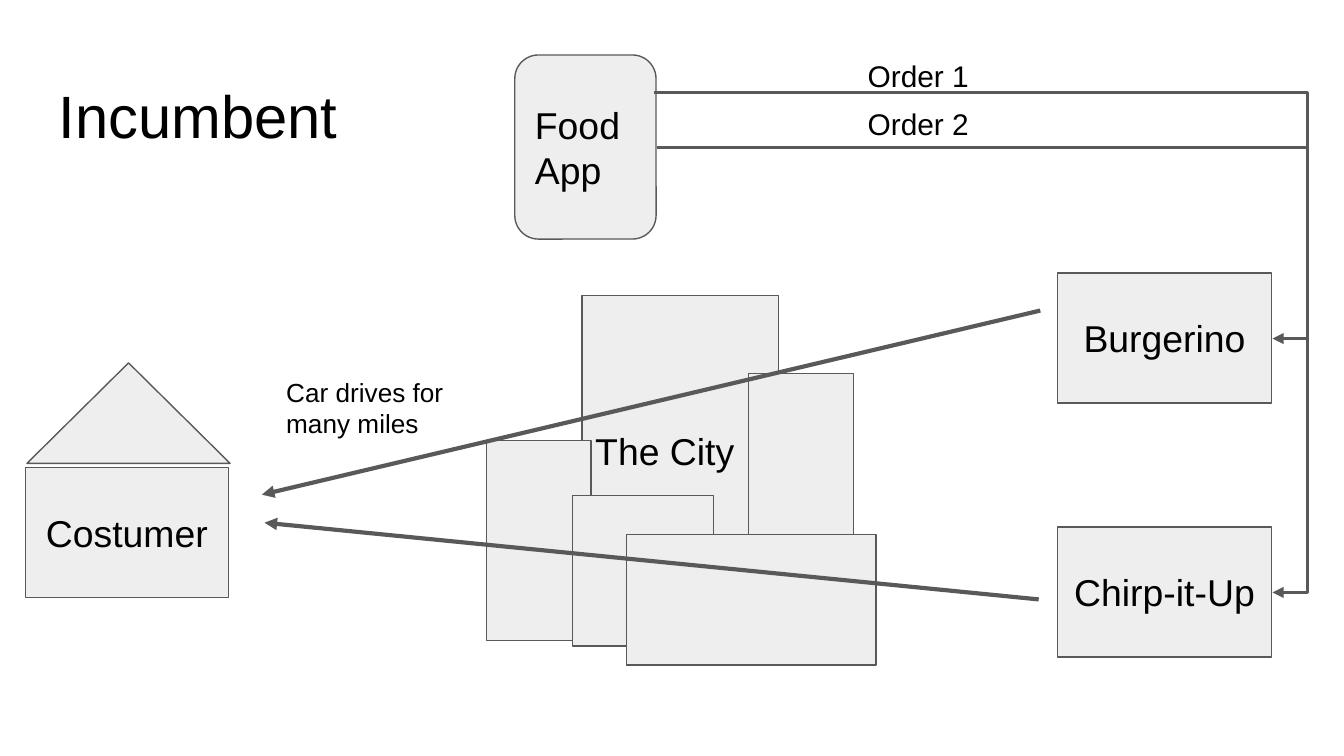
import pptx
import pptx.dml.color
import pptx.enum.shapes
import pptx.enum.text
import pptx.oxml
import pptx.oxml.ns
import pptx.util
from pptx.util import Cm

SHAPE = pptx.enum.shapes.MSO_SHAPE
CONNECTOR = pptx.enum.shapes.MSO_CONNECTOR
ALIGN = pptx.enum.text.PP_ALIGN
ANCHOR = pptx.enum.text.MSO_ANCHOR

BLACK = pptx.dml.color.RGBColor(0x00, 0x00, 0x00)
PALE_GREY = pptx.dml.color.RGBColor(0xEE, 0xEE, 0xEE)
DARK_GREY = pptx.dml.color.RGBColor(0x59, 0x59, 0x59)
FONT = "Arial"
INSET = 0.25

# All lengths are in cm; boxes are (left, top, width, height).
TITLE = ("Incumbent", (0.86, 1.24, 8.33, 1.6))

BLOCKS = [  # preset, box, label, alignment; from back to front
    (SHAPE.RECTANGLE, (0.48, 8.84, 3.84, 2.46), "Costumer", ALIGN.CENTER),
    (SHAPE.ISOSCELES_TRIANGLE, (0.51, 6.86, 3.84, 1.9), "", ALIGN.CENTER),
    (SHAPE.RECTANGLE, (19.99, 5.16, 4.04, 2.46), "Burgerino", ALIGN.CENTER),
    (SHAPE.RECTANGLE, (19.99, 9.96, 4.04, 2.46), "Chirp-it-Up", ALIGN.CENTER),
    (SHAPE.ROUNDED_RECTANGLE, (9.73, 1.04, 2.67, 3.48), "Food\vApp", ALIGN.LEFT),
    (SHAPE.RECTANGLE, (11.0, 5.59, 3.71, 5.84), "The City", ALIGN.LEFT),
    (SHAPE.RECTANGLE, (9.19, 8.33, 1.98, 3.78), "", ALIGN.LEFT),
    (SHAPE.RECTANGLE, (10.82, 9.37, 2.67, 2.84), "", ALIGN.LEFT),
    (SHAPE.RECTANGLE, (14.15, 7.06, 1.98, 5.26), "", ALIGN.LEFT),
    (SHAPE.RECTANGLE, (11.84, 10.11, 4.72, 2.46), "", ALIGN.LEFT),
]

DELIVERIES = [  # start, end
    ((19.66, 5.87), (4.95, 9.35)),
    ((19.63, 11.33), (5.0, 9.88)),
]

ORDER_TURN_X = 24.71
ORDERS = [  # start, end
    ((12.42, 2.79), (24.05, 6.4)),
    ((12.37, 1.75), (24.05, 11.2)),
]

NOTES = [  # text, box, size
    ("Order 1", (16.15, 0.84, 2.67, 0.94), 16),
    ("Order 2", (16.15, 1.75, 2.67, 0.94), 16),
    ("Car drives for many miles", (5.16, 6.86, 3.71, 1.6), 14),
]


def write(frame, text, size=20, align=ALIGN.LEFT, anchor=ANCHOR.TOP):
    frame.word_wrap = True
    frame.auto_size = pptx.enum.text.MSO_AUTO_SIZE.NONE
    frame.vertical_anchor = anchor
    frame.margin_left = frame.margin_right = Cm(INSET)
    frame.margin_top = frame.margin_bottom = Cm(INSET)
    frame.text = text
    for paragraph in frame.paragraphs:
        paragraph.alignment = align
        for run in paragraph.runs:
            run.font.name = FONT
            run.font.size = pptx.util.Pt(size)
            run.font.color.rgb = BLACK


def add_block(slide, preset, box, label, align):
    block = slide.shapes.add_shape(preset, *map(Cm, box))
    block.shadow.inherit = False
    block.fill.solid()
    block.fill.fore_color.rgb = PALE_GREY
    block.line.color.rgb = DARK_GREY
    block.line.width = pptx.util.Pt(0.75)
    if label:
        write(block.text_frame, label, align=align, anchor=ANCHOR.MIDDLE)


def add_arrow(slide, start, end, width, turn_x=None):
    """Draw a straight arrow, or an elbow one whose vertical leg is at turn_x."""
    kind = CONNECTOR.STRAIGHT if turn_x is None else CONNECTOR.ELBOW
    arrow = slide.shapes.add_connector(kind, *map(Cm, start + end))
    arrow.line.color.rgb = DARK_GREY
    arrow.line.width = pptx.util.Pt(width)
    properties = arrow._element.spPr
    head = pptx.oxml.ns.qn("a:tailEnd")
    arrow.line._get_or_add_ln().makeelement(head)
    line = arrow.line._get_or_add_ln()
    line.append(line.makeelement(head, {"type": "triangle"}))
    properties.append(properties.makeelement(pptx.oxml.ns.qn("a:effectLst")))
    if turn_x is not None:
        ratio = round((turn_x - start[0]) / (end[0] - start[0]) * 100000)
        guides = properties.find(".//" + pptx.oxml.ns.qn("a:avLst"))
        guides.append(guides.makeelement(
            pptx.oxml.ns.qn("a:gd"), {"name": "adj1", "fmla": f"val {ratio}"}))


def main():
    deck = pptx.Presentation()
    deck.slide_width, deck.slide_height = Cm(25.4), Cm(14.29)
    slide = deck.slides.add_slide(deck.slide_layouts.get_by_name("Title Only"))

    heading, box = TITLE
    title = slide.shapes.title
    title.left, title.top, title.width, title.height = map(Cm, box)
    write(title.text_frame, heading, size=32)

    for block in BLOCKS:
        add_block(slide, *block)
    for start, end in DELIVERIES:
        add_arrow(slide, start, end, 2.25)
    for start, end in ORDERS:
        add_arrow(slide, start, end, 1.5, turn_x=ORDER_TURN_X)
    for text, box, size in NOTES:
        note = slide.shapes.add_textbox(*map(Cm, box))
        write(note.text_frame, text, size=size)

    deck.save("out.pptx")


if __name__ == "__main__":
    main()
